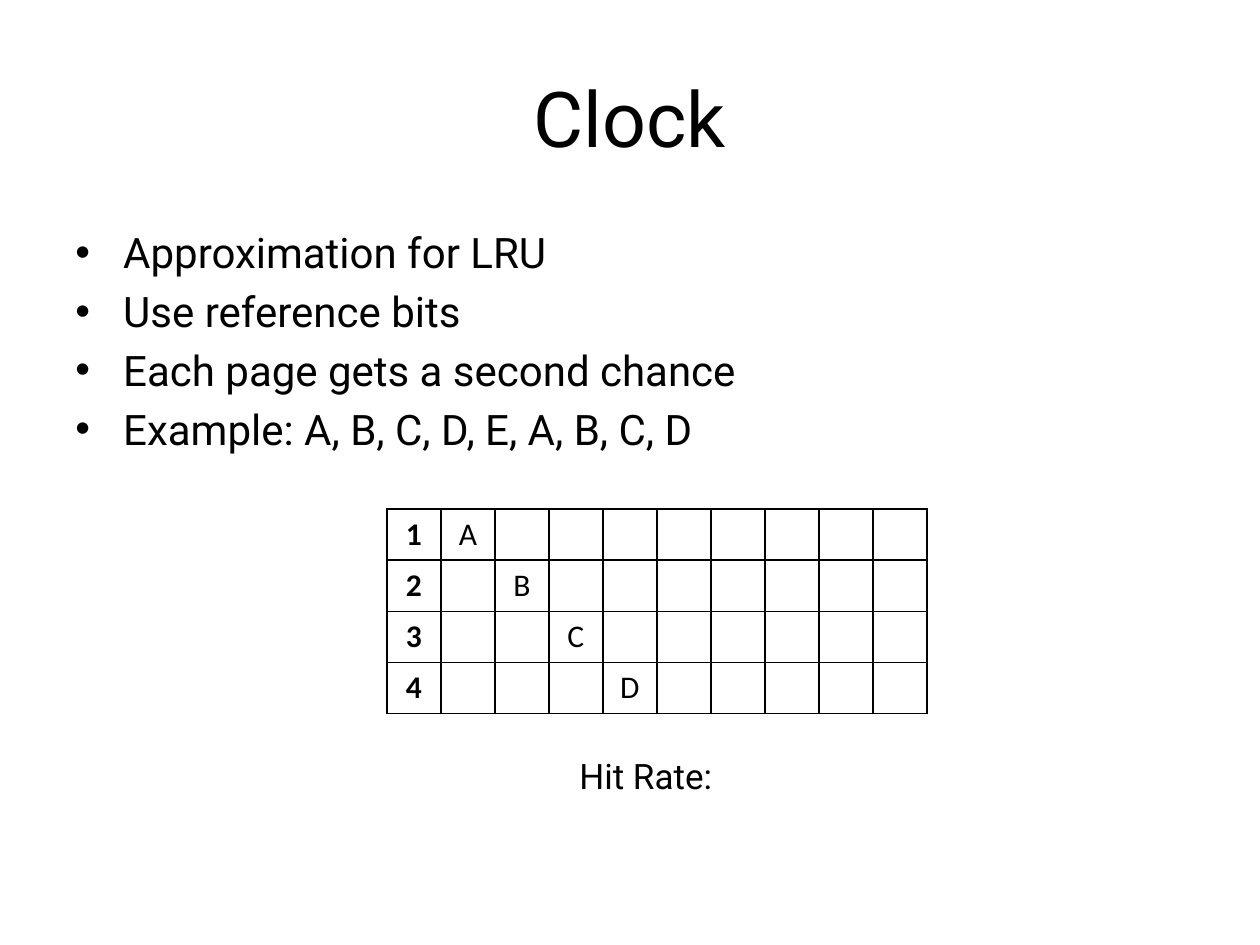
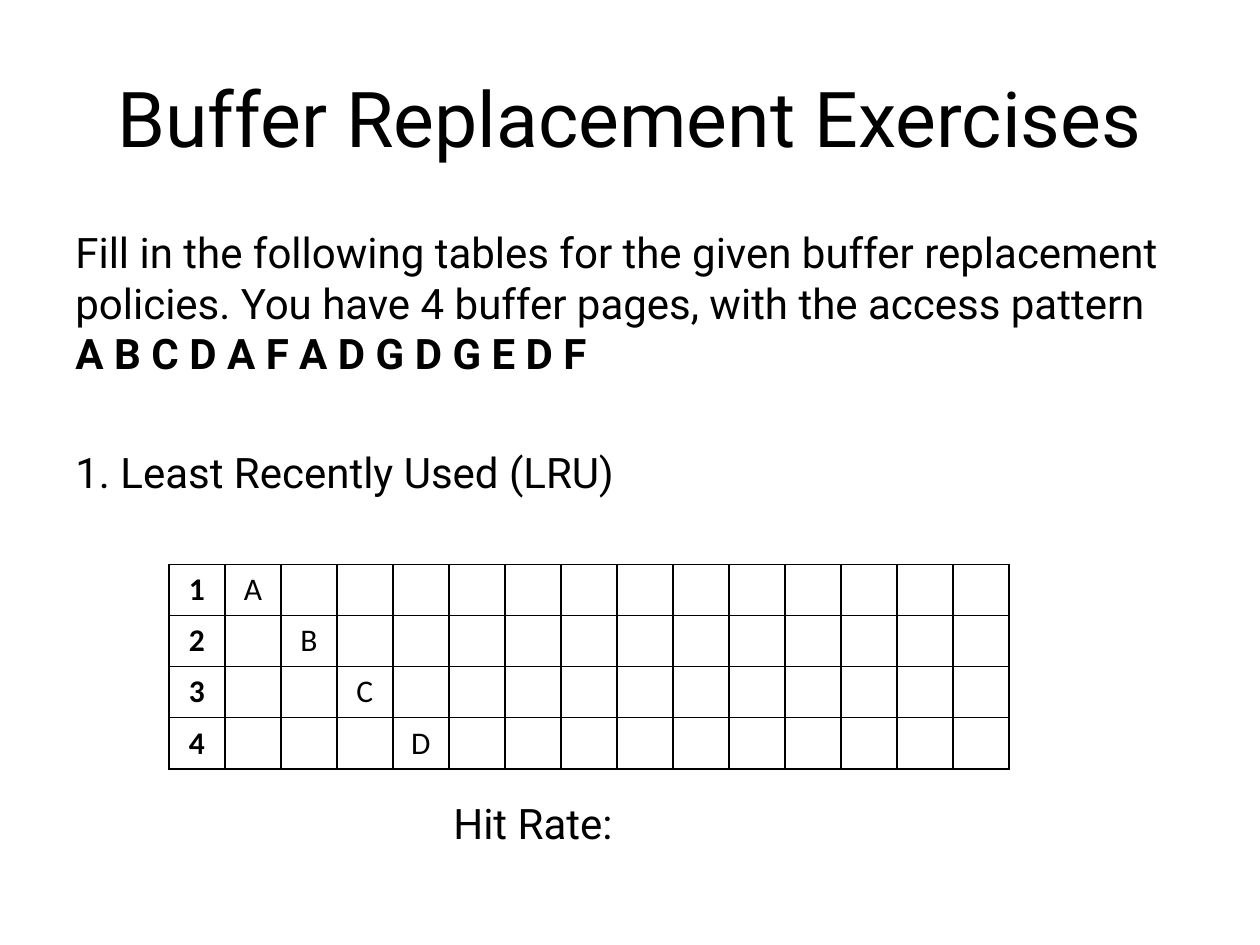
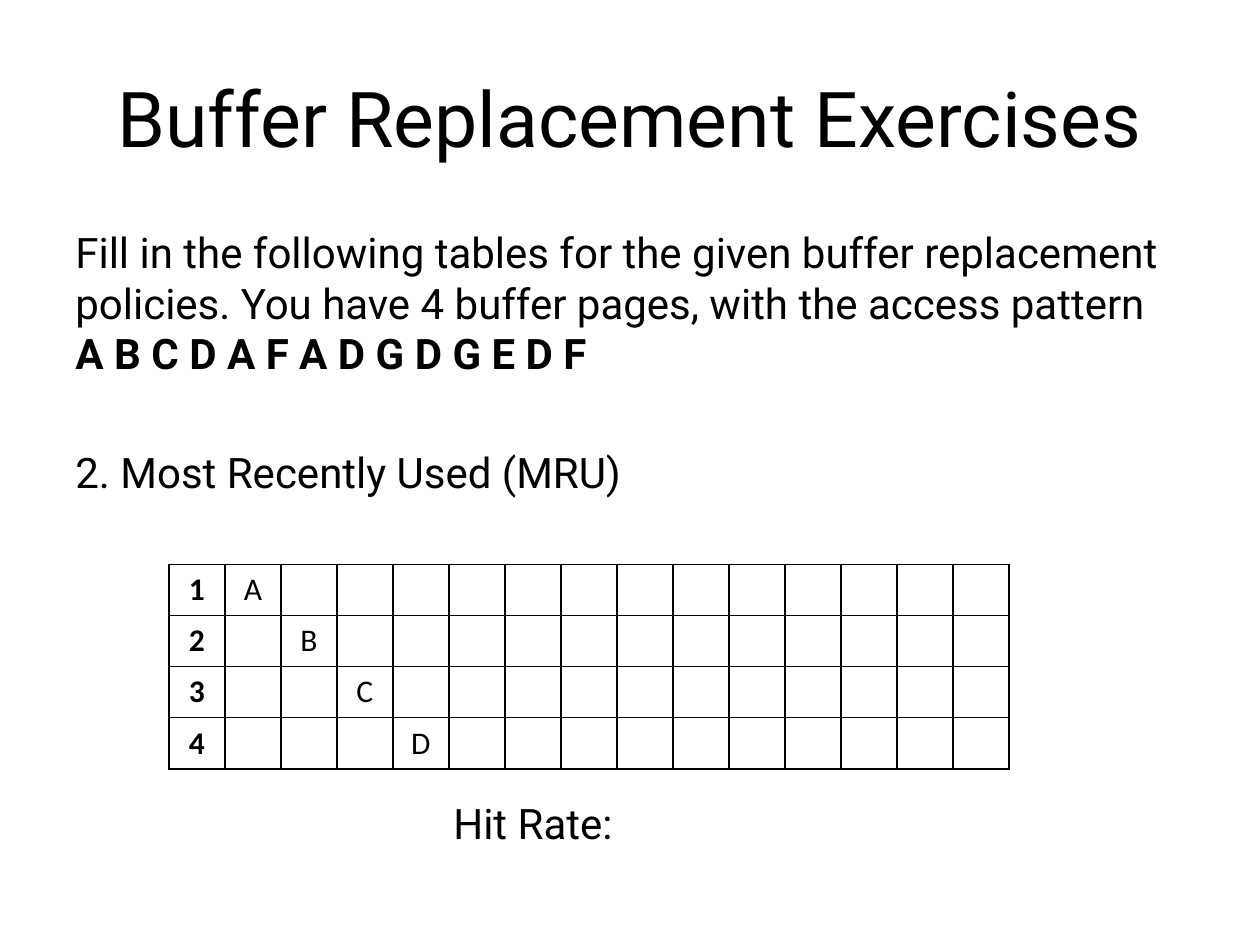
from lxml import etree
from pptx import Presentation
from pptx.dml.color import RGBColor
from pptx.enum.text import MSO_ANCHOR, MSO_AUTO_SIZE, PP_ALIGN
from pptx.oxml.ns import qn
from pptx.util import Emu, Inches, Pt

CENTER = PP_ALIGN.CENTER
LEFT = PP_ALIGN.LEFT
TOP = MSO_ANCHOR.TOP
MIDDLE = MSO_ANCHOR.MIDDLE
NO_FIT = MSO_AUTO_SIZE.NONE

# Shared style
INK = "000000"
TEXT_FONT = "Roboto"
TABLE_FONT = "Calibri"
TITLE_SIZE, BODY_SIZE, CELL_SIZE = 44, 24, 18
LINE_GAP = 4.8       # points before an ordinary paragraph
SECTION_GAP = 39     # points before a new section
TABLE_GAP = 172      # points left free for the table
BULLET_INDENT = 0.38
GRID_STYLE = "{5940675A-B579-460E-94D1-54222C63F5DA}"

# Shared boxes: left, top, width, height in inches
TITLE_BOX = (0.5, 0.3, 9, 1.25)
BODY_BOX = (0.5, 1.75, 9, 5.55)
ROW_HEIGHT = 0.405

FRAMES = ["A", "B", "C", "D"]
PATTERN = "A B C D A F A D G D G E D F"

deck = Presentation()
deck.slide_width = Inches(10)
deck.slide_height = Inches(7.5)
TITLE_ONLY = deck.slide_layouts[5]


def color(code):
    return RGBColor.from_string(code)


def place(shape, box):
    shape.left, shape.top, shape.width, shape.height = map(Inches, box)


def add_span(para, text, size, font=TEXT_FONT, bold=False):
    span = para.add_run()
    span.text = text
    span.font.size = Pt(size)
    span.font.name = font
    span.font.bold = bold
    span.font.color.rgb = color(INK)


def set_indent(para, left, first=0.0, bullet=None):
    props = para._p.get_or_add_pPr()
    props.set("marL", str(Inches(left)))
    props.set("indent", str(Inches(first)))
    if bullet:
        etree.SubElement(props, qn("a:buFont"), typeface="Arial")
        etree.SubElement(props, qn("a:buChar"), char=bullet)


def add_para(frame, gap=LINE_GAP):
    """Return the empty first paragraph, or a new one below the text."""
    first = frame.paragraphs[0]
    para = frame.add_paragraph() if first.runs else first
    para.alignment = LEFT
    para.space_before = Pt(gap)
    return para


def add_page(title):
    page = deck.slides.add_slide(TITLE_ONLY)
    place(page.shapes.title, TITLE_BOX)
    frame = page.shapes.title.text_frame
    frame.vertical_anchor = MIDDLE
    frame.auto_size = NO_FIT
    para = frame.paragraphs[0]
    para.alignment = CENTER
    add_span(para, title, TITLE_SIZE)
    return page


def add_body(page, box):
    frame = page.shapes.add_textbox(*map(Inches, box)).text_frame
    frame.word_wrap = True
    frame.auto_size = NO_FIT
    frame.vertical_anchor = TOP
    return frame


def add_hit_rate(frame, indent, size):
    para = add_para(frame, TABLE_GAP)
    set_indent(para, indent)
    add_span(para, "Hit Rate:", size)


def outline_cell(cell):
    props = cell._tc.get_or_add_tcPr()
    for side in ("a:lnL", "a:lnR", "a:lnT", "a:lnB"):
        line = etree.SubElement(props, qn(side), w=str(Pt(1)))
        fill = etree.SubElement(line, qn("a:solidFill"))
        etree.SubElement(fill, qn("a:srgbClr"), val=INK)
    cell.fill.background()


def add_buffer_table(page, left, top, width, columns):
    """Frame numbers in the first column, first loads on the diagonal."""
    rows = len(FRAMES)
    box = (left, top, width, ROW_HEIGHT * rows)
    table = page.shapes.add_table(rows, columns, *map(Inches, box)).table
    table.first_row = table.horz_banding = False
    table._tbl.tblPr.find(qn("a:tableStyleId")).text = GRID_STYLE
    for column in table.columns:
        column.width = Emu(Inches(width) // columns)
    for row in table.rows:
        row.height = Inches(ROW_HEIGHT)
    for cell in table.iter_cells():
        outline_cell(cell)
        cell.text_frame.paragraphs[0].alignment = CENTER
    for index, name in enumerate(FRAMES):
        entries = [(0, str(index + 1), True), (index + 1, name, False)]
        for column, text, bold in entries:
            para = table.cell(index, column).text_frame.paragraphs[0]
            add_span(para, text, CELL_SIZE, TABLE_FONT, bold)


def add_policy_page(title, points):
    page = add_page(title)
    frame = add_body(page, BODY_BOX)
    for point in points:
        para = add_para(frame)
        set_indent(para, BULLET_INDENT, -BULLET_INDENT, "\u2022")
        add_span(para, point, BODY_SIZE)
    add_hit_rate(frame, 4, 20)
    add_buffer_table(page, 3.07, 4.04, 4.29, 10)


def add_exercise_page(task):
    page = add_page("Buffer Replacement Exercises")
    frame = add_body(page, BODY_BOX)
    para = add_para(frame)
    add_span(para, "Fill in the following tables for the given buffer "
             "replacement policies. You have 4 buffer pages, with the "
             "access pattern", BODY_SIZE)
    para.add_line_break()
    add_span(para, PATTERN, BODY_SIZE, bold=True)
    add_span(add_para(frame, SECTION_GAP), task, BODY_SIZE)
    add_hit_rate(frame, 3, BODY_SIZE)
    add_buffer_table(page, 1.34, 4.48, 6.67, len(PATTERN.split()) + 1)


# Slides
add_policy_page("Clock", [
    "Approximation for LRU",
    "Use reference bits",
    "Each page gets a second chance",
    "Example: A, B, C, D, E, A, B, C, D",
])
for task in ("1. Least Recently Used (LRU)", "2. Most Recently Used (MRU)"):
    add_exercise_page(task)

deck.save("out.pptx")
